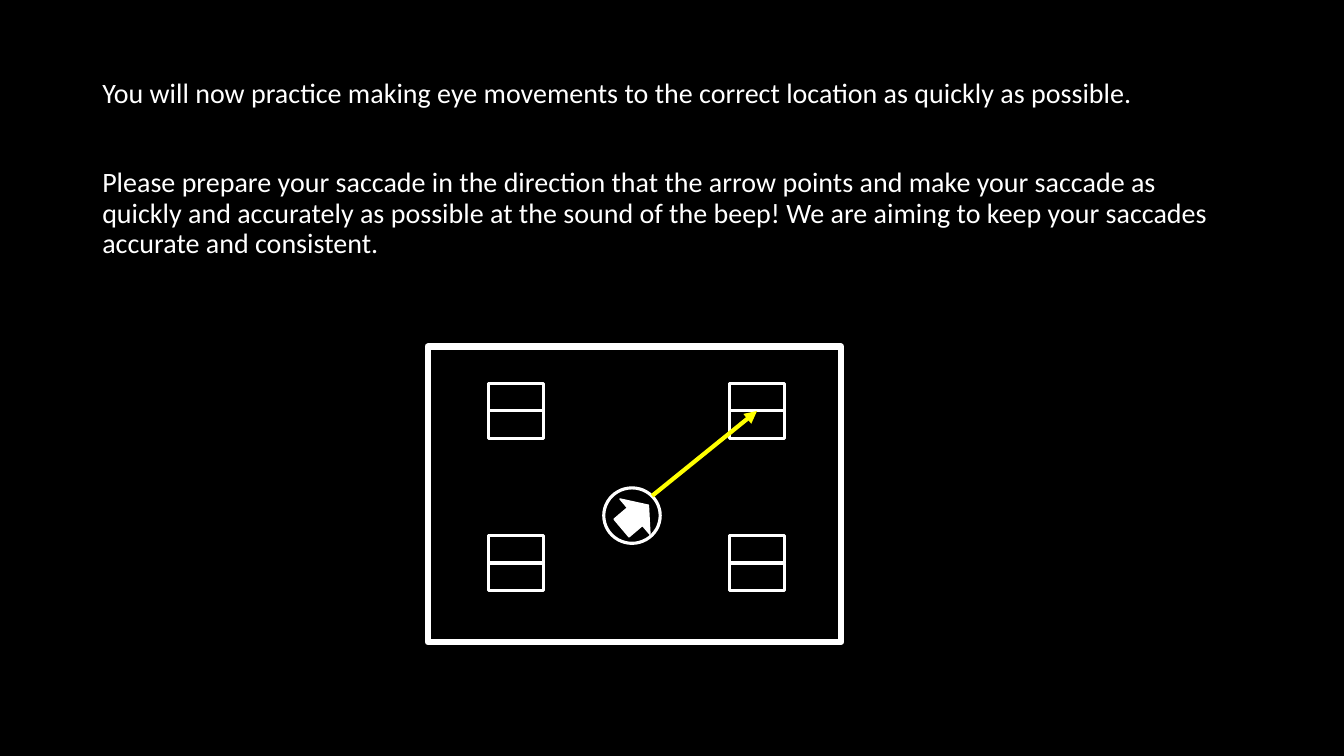
"""Build the saccade practice instruction slide."""
from dataclasses import dataclass

from lxml.etree import SubElement
from pptx import Presentation
from pptx.dml.color import RGBColor
from pptx.enum.shapes import MSO_CONNECTOR, MSO_SHAPE
from pptx.oxml.ns import qn
from pptx.util import Pt


@dataclass(frozen=True)
class Theme:
    background: RGBColor = RGBColor(0, 0, 0)
    ink: RGBColor = RGBColor(255, 255, 255)
    accent: RGBColor = RGBColor(255, 255, 0)
    font: str = "Calibri"
    size: int = 20


theme = Theme()


def add_outline(shapes, kind, left, top, width, height, weight):
    sp = shapes.add_shape(kind, Pt(left), Pt(top), Pt(width), Pt(height))
    sp.shadow.inherit = False
    sp.fill.background()
    sp.line.color.rgb = theme.ink
    sp.line.width = Pt(weight)
    return sp


prs = Presentation()
prs.slide_width, prs.slide_height = Pt(960), Pt(540)
s = prs.slides.add_slide(prs.slide_layouts[6])
s.background.fill.solid()
s.background.fill.fore_color.rgb = theme.background

instructions = [
    "You will now practice making eye movements to the correct location as quickly as possible.",
    "Please prepare your saccade in the direction that the arrow points and make your saccade "
    "as quickly and accurately as possible at the sound of the beep! We are aiming to keep "
    "your saccades accurate and consistent.",
]
tf = s.shapes.add_textbox(Pt(66), Pt(53.3), Pt(828), Pt(432.7)).text_frame
tf.word_wrap = True
for i, text in enumerate(instructions):
    p = tf.paragraphs[0] if i == 0 else tf.add_paragraph()
    p.text = text
    p.line_spacing = 0.9
    p.space_before = Pt(42 * i)
    p.font.name = theme.font
    p.font.size = Pt(theme.size)
    p.font.color.rgb = theme.ink

cell_width, cell_height = 39, 19.7
cells = {}
for top, row in ((273.8, "top"), (382.5, "bottom")):
    for left, side in ((349.2, "left"), (521.3, "right")):
        group = s.shapes.add_group_shape()
        cells[row, side] = [
            add_outline(group.shapes, MSO_SHAPE.RECTANGLE, left, top + half * cell_height,
                        cell_width, cell_height, 2.25)
            for half in range(2)
        ]

add_outline(s.shapes, MSO_SHAPE.RECTANGLE, 305.6, 247.6, 295.2, 211, 4.5)
add_outline(s.shapes, MSO_SHAPE.OVAL, 431.3, 348.5, 40.3, 39.6, 2.25)
cue = add_outline(s.shapes, MSO_SHAPE.DOWN_ARROW, 437, 356.4, 33.1, 25.2, 1)
cue.rotation = 229.7
cue.fill.solid()
cue.fill.fore_color.rgb = theme.ink

saccade = s.shapes.add_connector(MSO_CONNECTOR.STRAIGHT, Pt(465.8), Pt(354.2), Pt(540.8), Pt(293.5))
saccade.end_connect(cells["top", "right"][1], 0)
saccade.line.color.rgb = theme.accent
saccade.line.width = Pt(3)
SubElement(saccade.line._get_or_add_ln(), qn("a:tailEnd"), type="triangle")
SubElement(saccade._element.spPr, qn("a:effectLst"))

prs.save("out.pptx")
